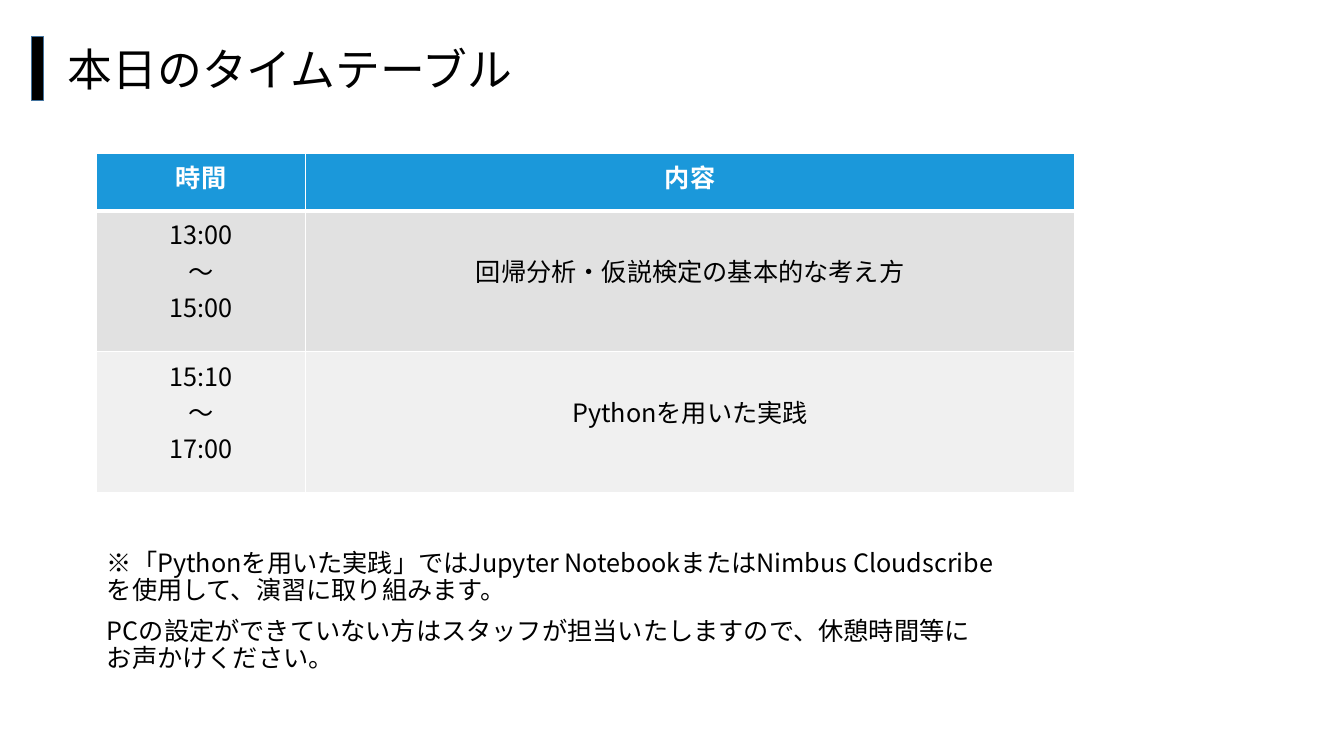
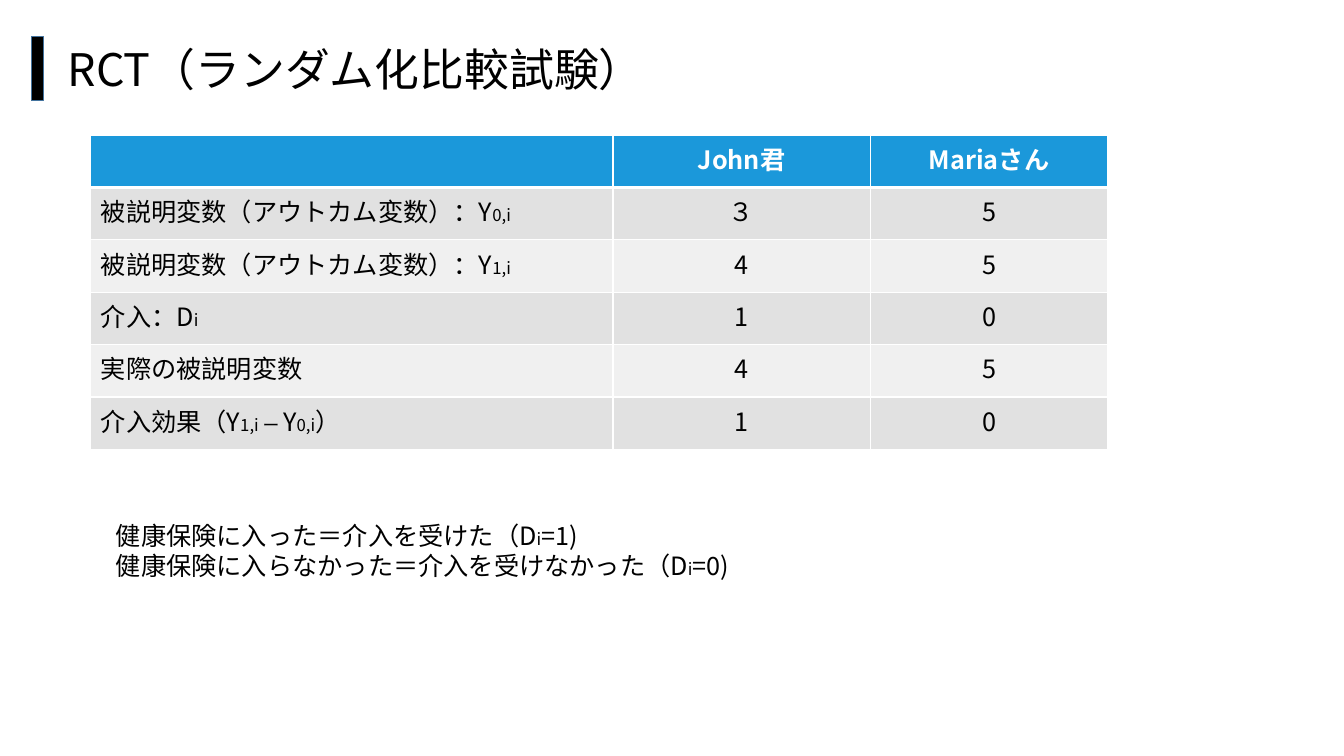
"""Builds two seminar slides: the timetable and the RCT example."""
from dataclasses import dataclass

from lxml import etree
from pptx import Presentation
from pptx.dml.color import RGBColor
from pptx.enum.shapes import MSO_SHAPE
from pptx.enum.text import MSO_ANCHOR, MSO_AUTO_SIZE, PP_ALIGN
from pptx.oxml.ns import qn
from pptx.util import Inches, Pt

RECT = MSO_SHAPE.RECTANGLE
LEFT, CENTER = PP_ALIGN.LEFT, PP_ALIGN.CENTER
TOP, MIDDLE = MSO_ANCHOR.TOP, MSO_ANCHOR.MIDDLE
NO_FIT = MSO_AUTO_SIZE.NONE


@dataclass(frozen=True)
class Theme:
    font: str = "Noto Sans CJK JP"
    black: str = "000000"
    white: str = "FFFFFF"
    bar_line: str = "43739E"
    header: str = "1B98DA"
    bands: tuple = ("E1E1E1", "F0F0F0")
    title_pt: int = 32
    text_pt: int = 18
    index_pt: int = 12


T = Theme()


def write(tf, lines, color=T.black, size=T.text_pt, bold=False, **paragraph_format):
    """Fills a frame; text between bars is set in the index size."""
    for i, line in enumerate(lines):
        p = tf.add_paragraph() if i else tf.paragraphs[0]
        for name, value in paragraph_format.items():
            setattr(p, name, 0 if name == "space_before" and i == 0 else value)
        for j, text in enumerate(line.split("|")):
            if not text:
                continue
            r = p.add_run()
            r.text = text
            font = {"name": T.font, "size": Pt(T.index_pt if j % 2 else size), "bold": bold}
            for name, value in font.items():
                setattr(r.font, name, value)
            r.font.color.rgb = RGBColor.from_string(color)
            etree.SubElement(r.font._element, qn("a:ea"), typeface=T.font)


def paint_cell(cell, fill, top, bottom):
    """Draws the white borders of a cell, then its fill."""
    tcPr = cell._tc.get_or_add_tcPr()
    for side, width in (("L", 1), ("R", 1), ("T", top), ("B", bottom)):
        ln = etree.SubElement(tcPr, qn(f"a:ln{side}"), w=str(Pt(width)))
        solid = etree.SubElement(ln, qn("a:solidFill"))
        etree.SubElement(solid, qn("a:srgbClr"), val=T.white)
    cell.fill.solid()
    cell.fill.fore_color.rgb = RGBColor.from_string(fill)


slides = [
    {
        "title": "本日のタイムテーブル",
        "table_at": (0.96, 1.52),
        "cols": (2.07, 7.63),
        "rows": (0.57, 1.4, 1.4),
        "aligns": (CENTER, CENTER),
        "margins": (0.05, 0.41),
        "cells": [
            ("時間", "内容"),
            ("13:00\n～\n15:00", "回帰分析・仮説検定の基本的な考え方"),
            ("15:10\n～\n17:00", "Pythonを用いた実践"),
        ],
        "note_at": (0.96, 5.41, 9, 1.81),
        "note_format": {"line_spacing": Pt(19.3), "space_before": Pt(10)},
        "note": [
            "※「Pythonを用いた実践」ではJupyter NotebookまたはNimbus Cloudscribeを使用して、演習に取り組みます。",
            "PCの設定ができていない方はスタッフが担当いたしますので、休憩時間等にお声かけください。",
        ],
    },
    {
        "title": "RCT（ランダム化比較試験）",
        "table_at": (0.9, 1.34),
        "cols": (5.18, 2.55, 2.36),
        "rows": (0.52,) * 6,
        "aligns": (LEFT, CENTER, CENTER),
        "margins": (0.05, 0.05, 0.05),
        "cells": [
            ("", "John君", "Mariaさん"),
            ("被説明変数（アウトカム変数）：Y|0,i", "３", "5"),
            ("被説明変数（アウトカム変数）：Y|1,i", "4", "5"),
            ("介入：D|i", "1", "0"),
            ("実際の被説明変数", "4", "5"),
            ("介入効果（Y|1,i ー |Y|0,i|）", "1", "0"),
        ],
        "note_at": (1.05, 5.1, 9.41, 0.71),
        "note_format": {"line_spacing": Pt(22.1), "space_before": Pt(0)},
        "note": [
            "健康保険に入った＝介入を受けた（D|i|=1)",
            "健康保険に入らなかった＝介入を受けなかった（D|i|=0)",
        ],
    },
]

prs = Presentation()
prs.slide_width, prs.slide_height = Inches(13.33), Inches(7.5)

for spec_slide in slides:
    s = prs.slides.add_slide(prs.slide_layouts[1])
    title, note = s.shapes.title, s.placeholders[1]

    frames = ((title, (0.57, 0.36, 10.83, 0.64), MIDDLE), (note, spec_slide["note_at"], TOP))
    for sp, box, anchor in frames:
        sp.left, sp.top, sp.width, sp.height = map(Inches, box)
        settings = {"word_wrap": True, "auto_size": NO_FIT, "vertical_anchor": anchor}
        for name, value in settings.items():
            setattr(sp.text_frame, name, value)
    write(title.text_frame, [spec_slide["title"]], size=T.title_pt, alignment=LEFT)
    write(note.text_frame, spec_slide["note"], **spec_slide["note_format"])
    for p in note.text_frame.paragraphs:
        pPr = p._p.get_or_add_pPr()
        pPr.set("marL", "0")
        pPr.set("indent", "0")
        etree.SubElement(pPr, qn("a:buNone"))

    bar = s.shapes.add_shape(RECT, *map(Inches, (0.31, 0.36, 0.12, 0.64)))
    bar.shadow.inherit = False
    bar.fill.solid()
    bar.fill.fore_color.rgb = RGBColor.from_string(T.black)
    bar.line.color.rgb = RGBColor.from_string(T.bar_line)
    bar.line.width = Pt(1)

    cols, rows = spec_slide["cols"], spec_slide["rows"]
    size = (sum(cols), sum(rows))
    table = s.shapes.add_table(
        len(rows), len(cols), *map(Inches, spec_slide["table_at"] + size)
    ).table
    for column, width in zip(table.columns, cols):
        column.width = Inches(width)
    for i, (row, height) in enumerate(zip(table.rows, rows)):
        row.height = Inches(height)
        is_header = i == 0
        fill = T.header if is_header else T.bands[(i - 1) % 2]
        for j, text in enumerate(spec_slide["cells"][i]):
            cell = table.cell(i, j)
            paint_cell(cell, fill, 3 if i == 1 else 1, 3 if is_header else 1)
            cell.margin_top = Inches(0.05 if is_header else spec_slide["margins"][j])
            write(
                cell.text_frame,
                text.split("\n"),
                color=T.white if is_header else T.black,
                bold=is_header,
                alignment=CENTER if is_header else spec_slide["aligns"][j],
            )

prs.save("out.pptx")
